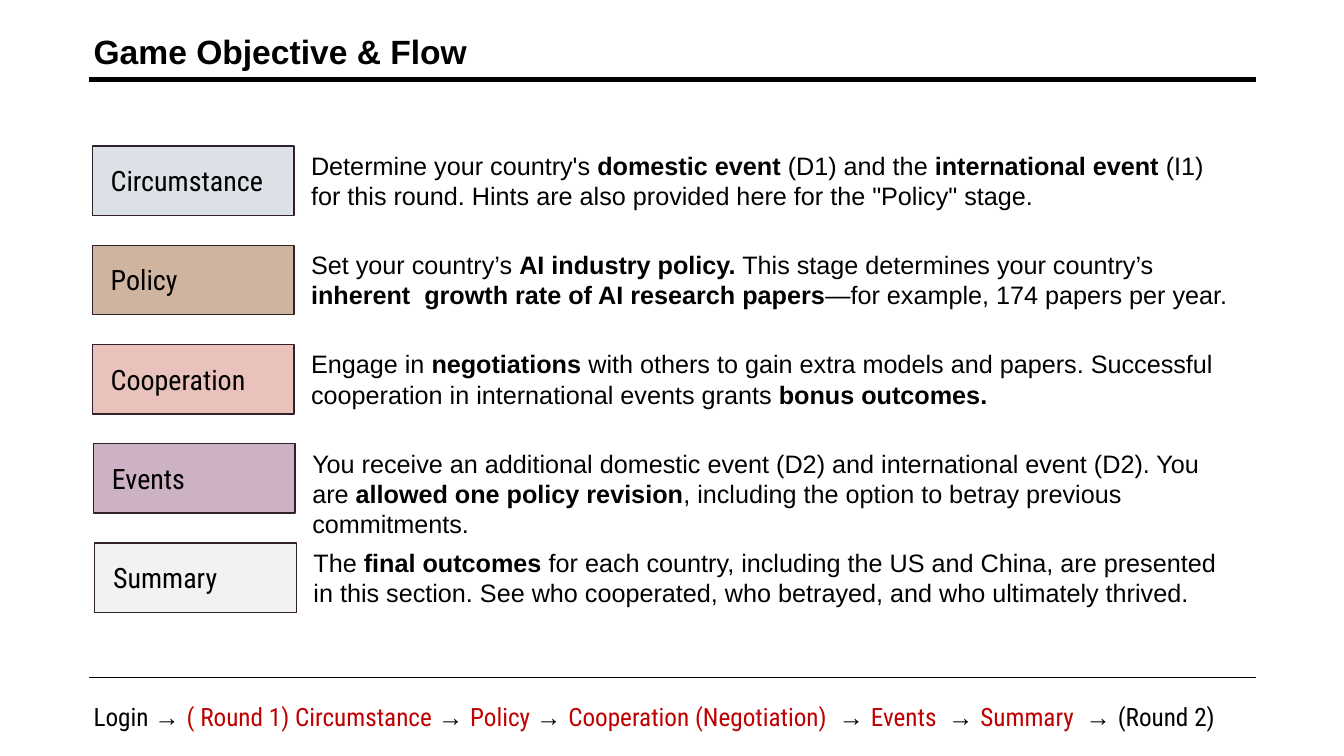
import pptx
import pptx.dml.color
import pptx.enum.shapes
import pptx.oxml.xmlchemy
import pptx.util

Cm = pptx.util.Cm
Pt = pptx.util.Pt

BODY_FONT = "Arial"
LABEL_FONT = "Roboto Condensed"
BLACK = "000000"
RED = "C00000"
BORDER = "32212D"

TITLE = "Game Objective & Flow"

STAGES = [
    ("Circumstance", "DCE0E7", 2.33, [
        ("Determine your country's ", False),
        ("domestic event ", True),
        ("(D1) and the ", False),
        ("international event ", True),
        ("(I1) for this round. Hints are also provided here for the \"Policy\" stage.", False),
    ]),
    ("Policy", "CFB49F", 2.33, [
        ("Set your country’s ", False),
        ("AI industry policy.", True),
        (" This stage determines your country’s ", False),
        ("inherent  growth rate of AI research papers", True),
        ("—for example, 174 papers per year.", False),
    ]),
    ("Cooperation", "E9C2BC", 2.33, [
        ("Engage in ", False),
        ("negotiations", True),
        (" with others to gain extra models and papers. Successful cooperation "
         "in international events grants ", False),
        ("bonus outcomes.", True),
    ]),
    ("Events", "CCB2C4", 2.36, [
        ("You receive an additional domestic event (D2) and international event (D2). "
         "You are ", False),
        ("allowed one policy revision", True),
        (", including the option to betray previous commitments.", False),
    ]),
    ("Summary", "F2F2F2", 2.39, [
        ("The ", False),
        ("final outcomes", True),
        (" for each country, including the US and China, are presented in this section. "
         "See who cooperated, who betrayed, and who ultimately thrived.", False),
    ]),
]

ARROW = "→ "
FLOW = [
    ("Login ", BLACK),
    ("( Round 1) Circumstance ", RED),
    ("Policy ", RED),
    ("Cooperation (Negotiation)  ", RED),
    ("Events  ", RED),
    ("Summary  ", RED),
    ("(Round 2)", BLACK),
]

RULES = [(2.01, 3.5), (17.07, 1)]
RULE_LEFT, RULE_RIGHT = 2.24, 31.65
FIRST_TOP, ROW_STEP = 3.68, 2.5
CARD_WIDTH, CARD_HEIGHT = 5.08, 1.75


def color(value):
    return pptx.dml.color.RGBColor.from_string(value)


def add_rule(page, top, weight):
    rule = page.shapes.add_connector(
        pptx.enum.shapes.MSO_CONNECTOR.STRAIGHT,
        Cm(RULE_LEFT), Cm(top), Cm(RULE_RIGHT), Cm(top))
    rule.line.color.rgb = color(BLACK)
    rule.line.width = Pt(weight)
    rule._element.spPr.append(pptx.oxml.xmlchemy.OxmlElement("a:effectLst"))


def add_text(page, left, top, width, height, size, spans):
    box = page.shapes.add_textbox(Cm(left), Cm(top), Cm(width), Cm(height))
    box.text_frame.word_wrap = True
    para = box.text_frame.paragraphs[0]
    for text, font, bold, shade in spans:
        span = para.add_run()
        span.text = text
        span.font.name = font
        span.font.size = Pt(size)
        span.font.bold = bold
        span.font.color.rgb = color(shade)


def add_stage(page, top, name, fill, left, description):
    card = page.shapes.add_shape(
        pptx.enum.shapes.MSO_SHAPE.RECTANGLE,
        Cm(left), Cm(top), Cm(CARD_WIDTH), Cm(CARD_HEIGHT))
    card.shadow.inherit = False
    card.fill.solid()
    card.fill.fore_color.rgb = color(fill)
    card.line.color.rgb = color(BORDER)
    card.line.width = Pt(1)
    add_text(page, left + 0.21, top + 0.32, 4.67, 1.11, 20,
             [(name, LABEL_FONT, False, BLACK)])
    add_text(page, left + 5.26, top - 0.02, 23.85, 1.8, 18,
             [(text, BODY_FONT, bold, BLACK) for text, bold in description])


def main():
    deck = pptx.Presentation()
    deck.slide_width, deck.slide_height = Cm(33.87), Cm(19.05)
    page = deck.slides.add_slide(deck.slide_layouts[6])

    for top, weight in RULES:
        add_rule(page, top, weight)
    add_text(page, 2.11, 0.66, 10.97, 1.27, 24, [(TITLE, BODY_FONT, True, BLACK)])

    flow_spans = []
    for index, (step, shade) in enumerate(FLOW):
        if index:
            flow_spans.append((ARROW, BODY_FONT, False, BLACK))
        flow_spans.append((step, LABEL_FONT, False, shade))
    add_text(page, 2.11, 17.55, 30.48, 1.02, 18, flow_spans)

    for row, stage in enumerate(STAGES):
        add_stage(page, FIRST_TOP + row * ROW_STEP, *stage)

    deck.save("out.pptx")


if __name__ == "__main__":
    main()
